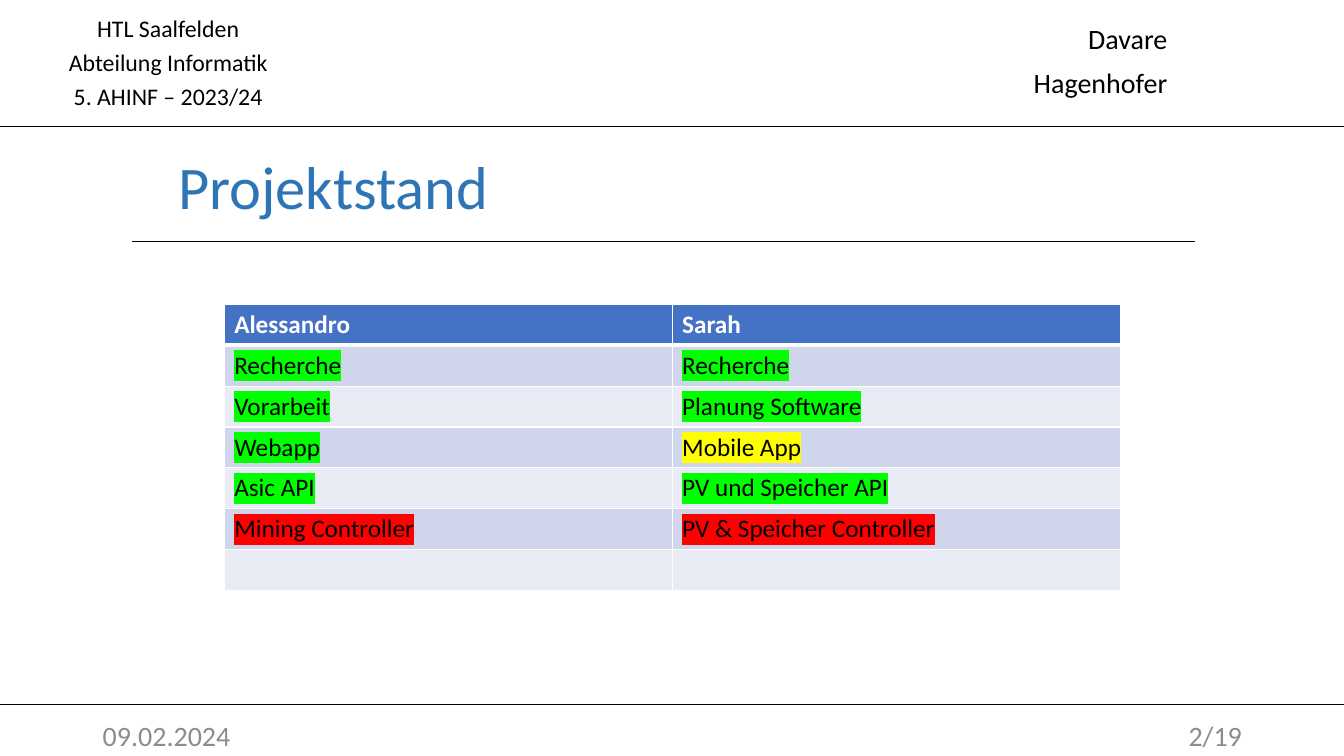
import pptx
import pptx.dml.color
import pptx.enum.shapes
import pptx.enum.text
import pptx.oxml
import pptx.oxml.ns
import pptx.util
from lxml import etree

Cm = pptx.util.Cm
Pt = pptx.util.Pt
RGBColor = pptx.dml.color.RGBColor
Align = pptx.enum.text.PP_ALIGN
Anchor = pptx.enum.text.MSO_ANCHOR
qn = pptx.oxml.ns.qn

COLORS = {
    "black": "000000", "white": "FFFFFF", "title": "2E75B6", "footer": "8C8C8C",
    "header": "4472C4", "odd": "CFD5EA", "even": "E9EBF5",
    "done": "00FF00", "active": "FFFF00", "open": "FF0000",
}


def add_run(paragraph, text, size, color, bold=False):
    run = paragraph.add_run()
    run.text = text
    run.font.name = "Calibri"
    run.font.size = Pt(size)
    run.font.bold = bold
    run.font.color.rgb = RGBColor.from_string(COLORS[color])
    return run


def add_fill(parent, tag, color):
    """Append a:tag to parent, holding the named colour as its child."""
    element = etree.SubElement(parent, qn(f"a:{tag}"))
    etree.SubElement(element, qn("a:srgbClr"), val=COLORS[color])
    return element


presentation = pptx.Presentation()
presentation.slide_width = Cm(33.87)
presentation.slide_height = Cm(19.05)
slide = presentation.slides.add_slide(presentation.slide_layouts[6])

# Text: left, top, width, height, lines, size, colour, alignment, anchor, line spacing, space before
texts = [
    (4.24, 3.63, 25.4, 3.45, ["Projektstand"], 43.2, "title", Align.LEFT, Anchor.TOP, 1, 0),
    (1.37, 0.41, 5.74, 2.57, ["HTL Saalfelden", "Abteilung Informatik", "5. AHINF – 2023/24"],
     17, "black", Align.CENTER, Anchor.TOP, 0.7, 10),
    (25.76, 0.51, 3.91, 2.34, ["Davare", "Hagenhofer"],
     20, "black", Align.RIGHT, Anchor.TOP, 0.9, 10),
    (2.34, 18.24, 7.62, 0.58, ["09.02.2024"], 20, "footer", Align.LEFT, Anchor.MIDDLE, 1, 0),
    (23.93, 18.31, 7.62, 0.43, ["2/19"], 20, "footer", Align.RIGHT, Anchor.MIDDLE, 1, 0),
]
for left, top, width, height, lines, size, color, align, anchor, spacing, before in texts:
    frame = slide.shapes.add_textbox(Cm(left), Cm(top), Cm(width), Cm(height)).text_frame
    frame.word_wrap = True
    frame.vertical_anchor = anchor
    for index, line in enumerate(lines):
        paragraph = frame.add_paragraph() if index else frame.paragraphs[0]
        paragraph.alignment = align
        paragraph.line_spacing = spacing
        paragraph.space_before = Pt(before)
        add_run(paragraph, line, size, color)

# Rules below the header, below the title and above the footer
for start, end, height in [(-0.18, 33.87, 3.18), (3.33, 30.12, 6.07), (-0.1, 33.96, 17.75)]:
    rule = slide.shapes.add_connector(
        pptx.enum.shapes.MSO_CONNECTOR.STRAIGHT, Cm(start), Cm(height), Cm(end), Cm(height))
    rule.line.color.rgb = RGBColor.from_string(COLORS["black"])
    rule.line.width = Pt(0.5)
    etree.SubElement(rule.element.spPr, qn("a:effectLst"))

# Progress table: task and state for each person
rows = [
    [("Alessandro", None), ("Sarah", None)],
    [("Recherche", "done"), ("Recherche", "done")],
    [("Vorarbeit", "done"), ("Planung Software", "done")],
    [("Webapp", "done"), ("Mobile App", "active")],
    [("Asic API", "done"), ("PV und Speicher API", "done")],
    [("Mining Controller", "open"), ("PV & Speicher Controller", "open")],
    [("", None), ("", None)],
]
table = slide.shapes.add_table(
    len(rows), 2, Cm(5.65), Cm(7.67), Cm(22.58), Cm(1.03 * len(rows))).table
for row_index, row in enumerate(rows):
    table.rows[row_index].height = Cm(1.03)
    is_header = row_index == 0
    band = "header" if is_header else ("odd" if row_index % 2 else "even")
    for column_index, (task, state) in enumerate(row):
        cell = table.cell(row_index, column_index)
        if task:
            run = add_run(cell.text_frame.paragraphs[0], task, 18,
                          "white" if is_header else "black", is_header)
            if state:
                properties = run.font.fill._xPr
                highlight = add_fill(properties, "highlight", state)
                properties.find(qn("a:solidFill")).addnext(highlight)
        else:
            cell.text_frame.paragraphs[0].font.size = Pt(18)
        cell_properties = cell._tc.get_or_add_tcPr()
        for side in ("L", "R", "T", "B"):
            thick = (row_index, side) in [(0, "B"), (1, "T")]
            border = etree.SubElement(
                cell_properties, qn(f"a:ln{side}"), w=str(Pt(3 if thick else 1)))
            add_fill(border, "solidFill", "white")
        cell.fill.solid()
        cell.fill.fore_color.rgb = RGBColor.from_string(COLORS[band])

presentation.save("out.pptx")
